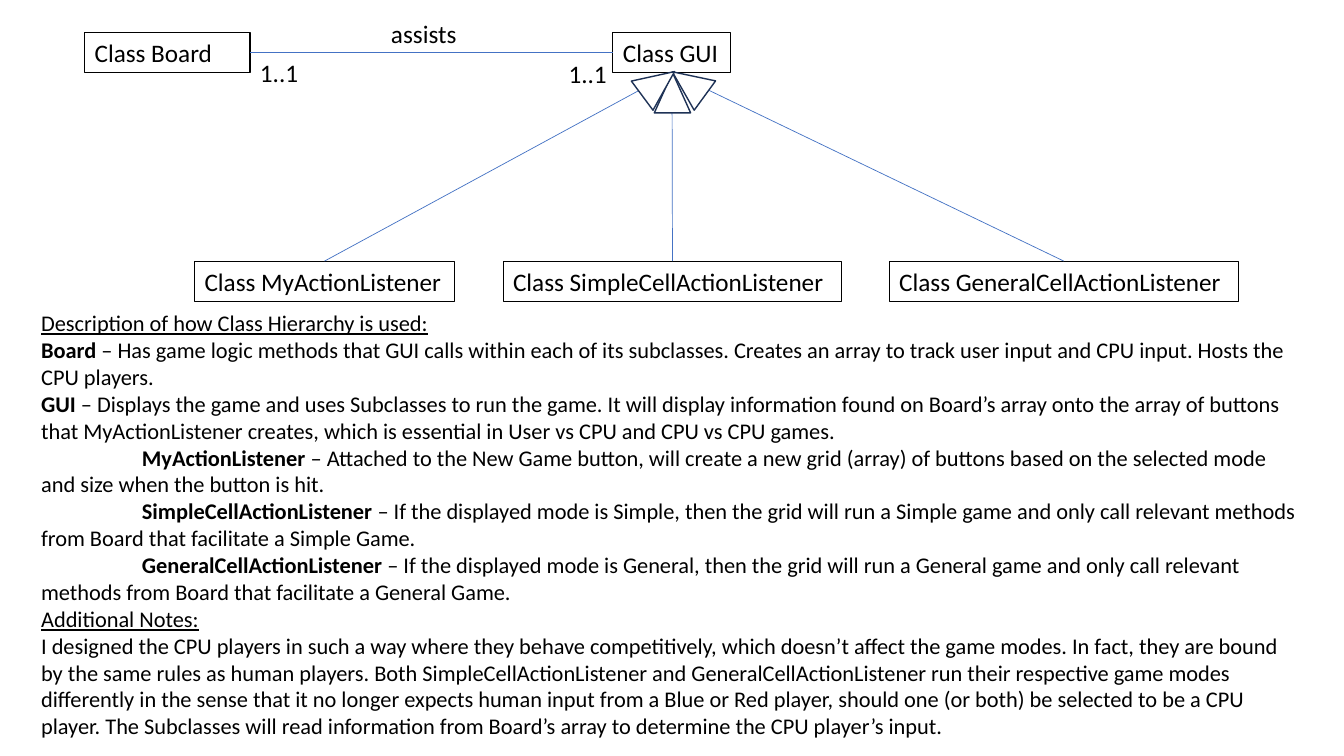
from lxml import etree
from pptx import Presentation, util as u
from pptx.dml.color import RGBColor
from pptx.enum import shapes, text
from pptx.oxml.ns import qn

PX = u.Inches(1) // 100  # 100 px to the inch
FONT = "Calibri"
BLACK, WHITE, BLUE, NAVY = "000000", "FFFFFF", "4472C4", "1E3256"
TOP, BOTTOM, RIGHT = 0, 2, 3  # connection sites of a rectangle

# name, left, top, width
BOARD = ("Board", 84, 32, 164)
GUI = ("GUI", 608, 32, 117)
LISTENERS = [
    ("MyActionListener", 193, 259, 258),
    ("SimpleCellActionListener", 499, 259, 336),
    ("GeneralCellActionListener", 882, 259, 346),
]
# text, left, top, width
LABELS = [("1..1", 248, 52, 62), ("1..1", 554, 53, 62), ("assists", 378, 13, 124)]
# left, top, rotation
ARROWHEADS = [(649, 72, 0), (665, 63, 306.1), (635, 63, 53.4)]

# kind, bold lead, text
DESCRIPTION = [
    ("heading", "", "Description of how Class Hierarchy is used:"),
    ("body", "Board", " – Has game logic methods that GUI calls within each of its "
     "subclasses. Creates an array to track user input and CPU input. Hosts the CPU players."),
    ("body", "GUI", " – Displays the game and uses Subclasses to run the game. It will "
     "display information found on Board’s array onto the array of buttons that "
     "MyActionListener creates, which is essential in User vs CPU and CPU vs CPU games."),
    ("subclass", "MyActionListener", " – Attached to the New Game button, will create a new "
     "grid (array) of buttons based on the selected mode and size when the button is hit."),
    ("subclass", "SimpleCellActionListener", " – If the displayed mode is Simple, then the "
     "grid will run a Simple game and only call relevant methods from Board that facilitate "
     "a Simple Game."),
    ("subclass", "GeneralCellActionListener", " – If the displayed mode is General, then the "
     "grid will run a General game and only call relevant methods from Board that facilitate "
     "a General Game."),
    ("heading", "", "Additional Notes:"),
    ("body", "", "I designed the CPU players in such a way where they behave competitively, "
     "which doesn’t affect the game modes. In fact, they are bound by the same rules as human "
     "players. Both SimpleCellActionListener and GeneralCellActionListener run their "
     "respective game modes differently in the sense that it no longer expects human input "
     "from a Blue or Red player, should one (or both) be selected to be a CPU player. The "
     "Subclasses will read information from Board’s array to determine the CPU player’s input."),
]


def px(*lengths):
    return [u.Emu(length * PX) for length in lengths]


def color(hex_string):
    return RGBColor.from_string(hex_string)


def set_line(shape, hex_string, width):
    shape.line.color.rgb = color(hex_string)
    shape.line.width = u.Pt(width)


def set_font(paragraph, size):
    paragraph.font.name = FONT
    paragraph.font.size = u.Pt(size)
    paragraph.font.color.rgb = color(BLACK)


def add_text_frame(slide, left, top, width, height):
    shape = slide.shapes.add_textbox(*px(left, top, width, height))
    shape.text_frame.word_wrap = True
    shape.text_frame.auto_size = text.MSO_AUTO_SIZE.SHAPE_TO_FIT_TEXT
    return shape


def add_label(slide, words, left, top, width):
    shape = add_text_frame(slide, left, top, width, 40)
    paragraph = shape.text_frame.paragraphs[0]
    paragraph.text = words
    set_font(paragraph, 18)
    return shape


def add_class_box(slide, name, left, top, width):
    shape = add_label(slide, f"Class {name}", left, top, width)
    set_line(shape, BLACK, 0.75)
    return shape


def add_link(slide, start, start_site, end, end_site):
    connector = slide.shapes.add_connector(shapes.MSO_CONNECTOR.STRAIGHT, 0, 0, 0, 0)
    connector.begin_connect(start, start_site)
    connector.end_connect(end, end_site)
    set_line(connector, BLUE, 0.5)
    etree.SubElement(connector._element.spPr, qn("a:effectLst"))


def add_arrowhead(slide, left, top, rotation):
    shape = slide.shapes.add_shape(
        shapes.MSO_SHAPE.ISOSCELES_TRIANGLE, *px(left, top, 36, 40))
    shape.rotation = rotation
    shape.shadow.inherit = False
    shape.fill.solid()
    shape.fill.fore_color.rgb = color(WHITE)
    set_line(shape, NAVY, 1)


def add_description(slide, entries, left, top, width, height):
    frame = add_text_frame(slide, left, top, width, height).text_frame
    for index, (kind, lead, words) in enumerate(entries):
        paragraph = frame.add_paragraph() if index else frame.paragraphs[0]
        set_font(paragraph, 16)
        if kind == "heading":
            paragraph.font.underline = True
        if kind == "subclass":
            paragraph._p.get_or_add_pPr().set("indent", str(100 * PX))
        if lead:
            run = paragraph.add_run()
            run.text = lead
            run.font.bold = True
        paragraph.add_run().text = words


def main():
    presentation = Presentation()
    presentation.slide_width, presentation.slide_height = px(1333, 750)
    slide = presentation.slides.add_slide(presentation.slide_layouts[6])

    # Classes
    board = add_class_box(slide, *BOARD)
    gui = add_class_box(slide, *GUI)
    listeners = [add_class_box(slide, *listener) for listener in LISTENERS]

    # Association and inheritance
    add_link(slide, board, RIGHT, gui, 1)
    for listener in listeners:
        add_link(slide, gui, BOTTOM, listener, TOP)
    for arrowhead in ARROWHEADS:
        add_arrowhead(slide, *arrowhead)

    # Description and labels
    add_description(slide, DESCRIPTION, 31, 302, 1270, 441)
    for label in LABELS:
        add_label(slide, *label)

    presentation.save("out.pptx")


if __name__ == "__main__":
    main()
